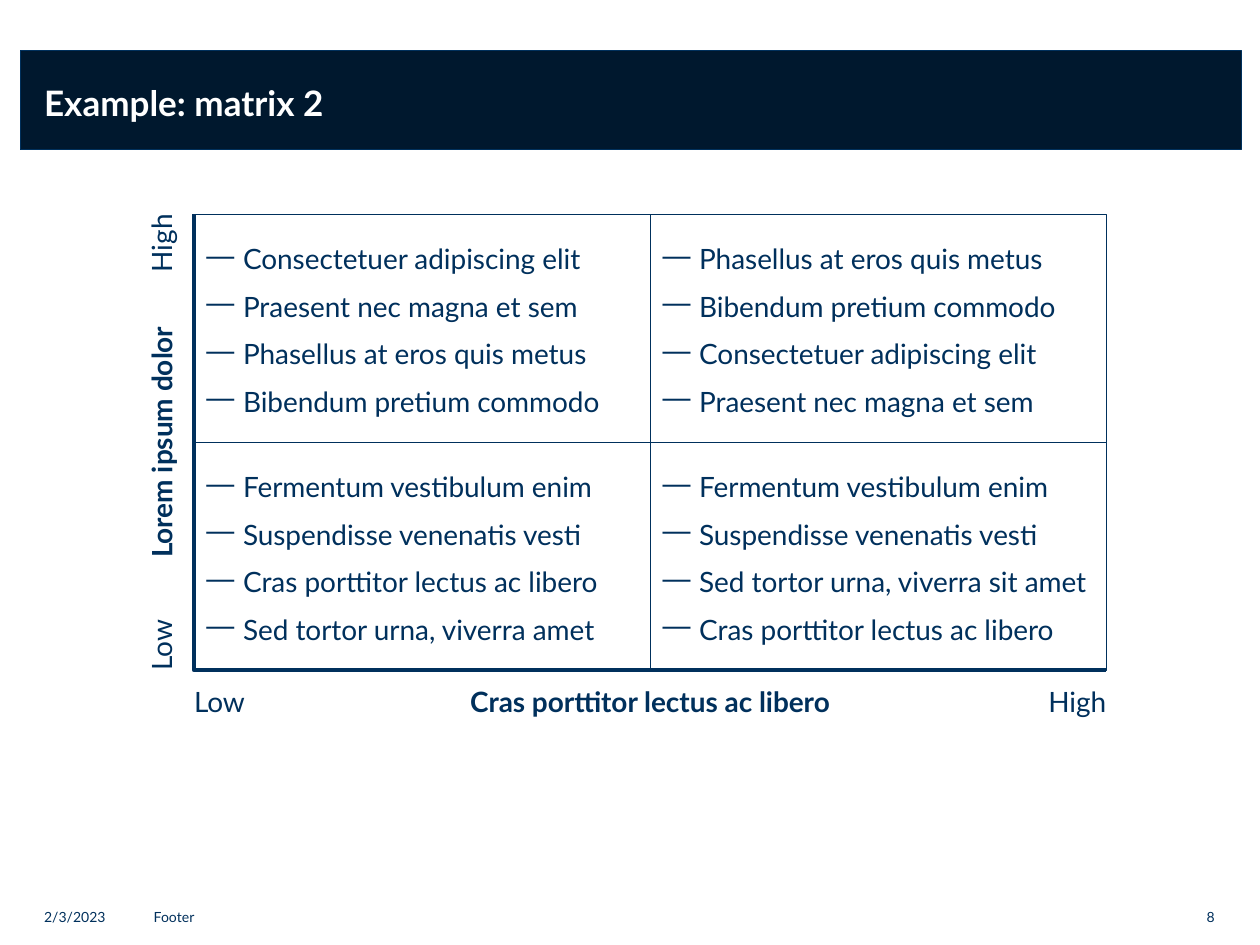
import pptx
import pptx.dml.color
import pptx.enum.shapes
import pptx.enum.text
import pptx.oxml.ns
import pptx.util
from lxml import etree

Inches = pptx.util.Inches
Pt = pptx.util.Pt
ALIGN = pptx.enum.text.PP_ALIGN
ANCHOR = pptx.enum.text.MSO_ANCHOR

COLORS = {"navy": "00305C", "band": "00182E", "white": "FFFFFF"}
FONT = "Lato"

QUADRANTS = [
    [
        ["Consectetuer adipiscing elit", "Praesent nec magna et sem",
         "Phasellus at eros quis metus", "Bibendum pretium commodo"],
        ["Phasellus at eros quis metus", "Bibendum pretium commodo",
         "Consectetuer adipiscing elit", "Praesent nec magna et sem"],
    ],
    [
        ["Fermentum vestibulum enim", "Suspendisse venenatis vesti",
         "Cras porttitor lectus ac libero", "Sed tortor urna, viverra amet"],
        ["Fermentum vestibulum enim", "Suspendisse venenatis vesti",
         "Sed tortor urna, viverra sit amet", "Cras porttitor lectus ac libero"],
    ],
]


def rgb(name):
    return pptx.dml.color.RGBColor.from_string(COLORS[name])


def write(sp, lines, size=16, color="navy", bold=False, align=ALIGN.LEFT,
          anchor=ANCHOR.MIDDLE, insets=(0, 0), spacing=1.1, after=0, bullet=None):
    """Fill a shape with one paragraph per line; insets are horizontal, vertical."""
    tf = sp.text_frame
    tf.word_wrap = True
    tf.vertical_anchor = anchor
    tf.margin_left = tf.margin_right = Inches(insets[0])
    tf.margin_top = tf.margin_bottom = Inches(insets[1])
    for i, line in enumerate(lines):
        p = tf.paragraphs[0] if i == 0 else tf.add_paragraph()
        p.alignment = align
        p.line_spacing = spacing
        p.space_after = Pt(after)
        if bullet:
            pPr = p._p.get_or_add_pPr()
            pPr.set("marL", str(Inches(0.29)))
            pPr.set("indent", str(Inches(-0.29)))
            etree.SubElement(pPr, pptx.oxml.ns.qn("a:buChar")).set("char", bullet)
        r = p.add_run()
        r.text = line
        r.font.name = FONT
        r.font.size = Pt(size)
        r.font.bold = bold
        r.font.color.rgb = rgb(color)


def add_text(s, box, text, rotation=0, **style):
    sp = s.shapes.add_textbox(*(Inches(v) for v in box))
    sp.rotation = rotation
    write(sp, [text], **style)


def add_box(s, box, fill):
    sp = s.shapes.add_shape(pptx.enum.shapes.MSO_SHAPE.RECTANGLE,
                            *(Inches(v) for v in box))
    sp.shadow.inherit = False
    sp.fill.solid()
    sp.fill.fore_color.rgb = rgb(fill)
    sp.line.color.rgb = rgb("navy")
    sp.line.width = Pt(0.5)
    return sp


def add_header(s, box, title):
    left, top, _, height = box
    add_box(s, box, "band")
    add_text(s, (left, top, 7.05, height), title, size=20, color="white",
             bold=True, insets=(0.19, 0))


def add_quadrants(s, box):
    left, top, width, height = box
    w, h = width / 2, height / 2
    for row, cells in enumerate(QUADRANTS):
        for col, items in enumerate(cells):
            sp = add_box(s, (left + col * w, top + row * h, w, h), "white")
            write(sp, items, insets=(0.1, 0.05), after=6, bullet="—")


def add_axes(s, box):
    left, top, width, height = box
    bottom = top + height
    builder = s.shapes.build_freeform(Inches(left), Inches(top))
    builder.add_line_segments(
        [(Inches(left), Inches(bottom)), (Inches(left + width), Inches(bottom))],
        close=False)
    sp = builder.convert_to_shape()
    sp.shadow.inherit = False
    sp.fill.background()
    sp.line.color.rgb = rgb("navy")
    sp.line.width = Pt(2.25)


def add_x_labels(s, box, title):
    left, top, width, height = box
    end = width / 4
    add_text(s, box, title, bold=True, align=ALIGN.CENTER)
    add_text(s, (left, top, end, height), "Low")
    add_text(s, (left + width - end, top, end, height), "High", align=ALIGN.RIGHT)


def add_y_labels(s, box, title):
    """Labels reading upwards inside a tall, narrow box."""
    left, top, width, height = box
    end = 0.94
    labels = [
        (title, height, height / 2, dict(bold=True, align=ALIGN.CENTER)),
        ("Low", end, height - end / 2, {}),
        ("High", end, end / 2, dict(align=ALIGN.RIGHT)),
    ]
    for text, length, middle, style in labels:
        add_text(s, (left + (width - length) / 2, top + middle - width / 2,
                     length, width), text, rotation=270, **style)


def add_matrix(s, box):
    left, top, width, height = box
    add_quadrants(s, box)
    add_axes(s, box)
    add_x_labels(s, (left, top + height, width, 0.47),
                 "Cras porttitor lectus ac libero")
    add_y_labels(s, (left - 0.55, top, 0.55, height), "Lorem ipsum dolor")


def add_footer(s, box):
    left, top, width, height = box
    style = dict(size=8, spacing=1.0, anchor=ANCHOR.BOTTOM)
    add_text(s, (left, top, 0.79, height), "2/3/2023", **style)
    add_text(s, (left + 0.87, top, 7.95, height), "Footer", **style)
    add_text(s, (left + width - 0.39, top, 0.39, height), "8",
             align=ALIGN.RIGHT, **style)


def main():
    prs = pptx.Presentation()
    prs.slide_width, prs.slide_height = Inches(10), Inches(7.5)
    s = prs.slides.add_slide(prs.slide_layouts[6])
    add_header(s, (0.16, 0.4, 9.69, 0.79), "Example: matrix 2")
    add_matrix(s, (1.54, 1.7, 7.24, 3.62))
    add_footer(s, (0.35, 7.06, 9.29, 0.28))
    prs.save("out.pptx")


if __name__ == "__main__":
    main()
